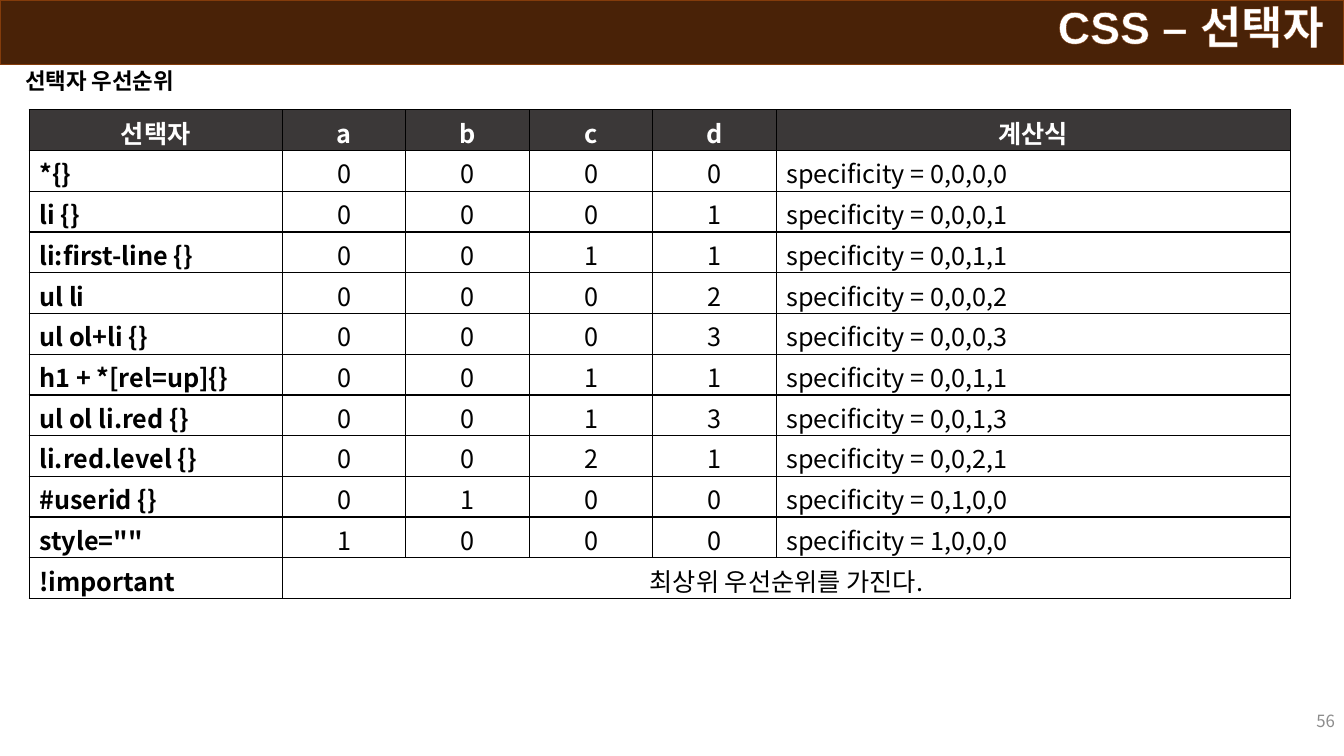
"""Build the CSS selector specificity slide."""
from dataclasses import dataclass

from lxml import etree
from pptx import Presentation
from pptx.dml.color import RGBColor
from pptx.enum.text import MSO_ANCHOR, MSO_AUTO_SIZE, PP_ALIGN
from pptx.oxml.ns import qn
from pptx.util import Inches, Pt

LEFT, CENTER, RIGHT = PP_ALIGN.LEFT, PP_ALIGN.CENTER, PP_ALIGN.RIGHT
TOP, MIDDLE = MSO_ANCHOR.TOP, MSO_ANCHOR.MIDDLE
NO_AUTOFIT = MSO_AUTO_SIZE.NONE


@dataclass(frozen=True)
class Theme:
    bar: str = "492207"
    bar_line: str = "843C0B"
    header: str = "3B3838"
    white: str = "FFFFFF"
    black: str = "000000"
    gray: str = "8C8C8C"
    title_font: str = "Arial"
    body_font: str = "Noto Sans CJK KR"
    title_size: int = 32
    subtitle_size: int = 16
    table_size: int = 18
    number_size: int = 12


THEME = Theme()


def add_text(tf, text, size, color, align=LEFT, bold=False, font=THEME.body_font):
    p = tf.paragraphs[0]
    p.alignment = align
    r = p.add_run()
    r.text = text
    r.font.size = Pt(size)
    r.font.bold = bold
    r.font.color.rgb = RGBColor.from_string(color)
    r.font.name = font
    etree.SubElement(r.font._element, qn("a:ea")).set("typeface", THEME.body_font)
    return p, r


def add_line(parent, tag, color, width):
    ln = etree.Element(qn(tag), w=str(Pt(width)))
    fill = etree.SubElement(ln, qn("a:solidFill"))
    etree.SubElement(fill, qn("a:srgbClr"), val=color)
    parent.insert(0 if tag == "a:ln" else len(parent), ln)


prs = Presentation()
prs.slide_width, prs.slide_height = Inches(13.33), Inches(7.5)
s = prs.slides.add_slide(prs.slide_layouts[5])

title = s.shapes.title
title.left, title.top = Inches(0), Inches(0)
title.width, title.height = Inches(13.33), Inches(0.64)
title.fill.solid()
title.fill.fore_color.rgb = RGBColor.from_string(THEME.bar)
title.line.color.rgb = RGBColor.from_string(THEME.bar_line)
title.line.width = Pt(0.75)
tf = title.text_frame
tf.auto_size = NO_AUTOFIT
tf.vertical_anchor = TOP
tf.margin_right = Inches(0.2)
p, r = add_text(tf, "CSS – 선택자", THEME.title_size, THEME.white, RIGHT, True,
                THEME.title_font)
p.line_spacing = 0.9
add_line(r.font._element, "a:ln", THEME.bar_line, 0.75)

subtitle = s.shapes.add_textbox(Inches(0.15), Inches(0.65), Inches(13.04), Inches(0.37))
tf = subtitle.text_frame
tf.word_wrap = True
p, r = add_text(tf, "선택자 우선순위", THEME.subtitle_size, THEME.black, bold=True)
p.line_spacing = 0.9

selectors = [
    ("*{}", "0000"),
    ("li {}", "0001"),
    ("li:first-line {}", "0011"),
    ("ul li", "0002"),
    ("ul ol+li {}", "0003"),
    ("h1 + *[rel=up]{}", "0011"),
    ("ul ol li.red {}", "0013"),
    ("li.red.level {}", "0021"),
    ("#userid {}", "0100"),
    ('style=""', "1000"),
]
rows = [["선택자", *"abcd", "계산식"]]
rows += [[name, *digits, "specificity = " + ",".join(digits)] for name, digits in selectors]
rows.append(["!important", "최상위 우선순위를 가진다.", "", "", "", ""])
col_widths = [2.51] + [1.225] * 4 + [5.1]

frame = s.shapes.add_table(len(rows), len(col_widths), Inches(0.29), Inches(1.09),
                           Inches(sum(col_widths)), Inches(4.85))
table = frame.table
table.first_row = False
table.horz_banding = False
for column, width in zip(table.columns, col_widths):
    column.width = Inches(width)
last = len(rows) - 1
table.cell(last, 1).merge(table.cell(last, 5))

for i, values in enumerate(rows):
    for j, value in enumerate(values):
        cell = table.cell(i, j)
        cell.margin_top, cell.margin_bottom = Inches(0.04), Inches(0)
        for side in ("a:lnL", "a:lnR", "a:lnT", "a:lnB"):
            add_line(cell._tc.get_or_add_tcPr(), side, THEME.black, 1)
        if i == 0:
            cell.fill.solid()
            cell.fill.fore_color.rgb = RGBColor.from_string(THEME.header)
        else:
            cell.fill.background()
        if value:
            add_text(cell.text_frame, value, THEME.table_size,
                     THEME.white if i == 0 else THEME.black,
                     CENTER if i == 0 or 0 < j < 5 else LEFT, i == 0 or j == 0)

number = s.shapes.add_textbox(Inches(10.34), Inches(6.95), Inches(3), Inches(0.4))
tf = number.text_frame
tf.word_wrap = True
tf.vertical_anchor = MIDDLE
add_text(tf, "56", THEME.number_size, THEME.gray, RIGHT)

prs.save("out.pptx")
